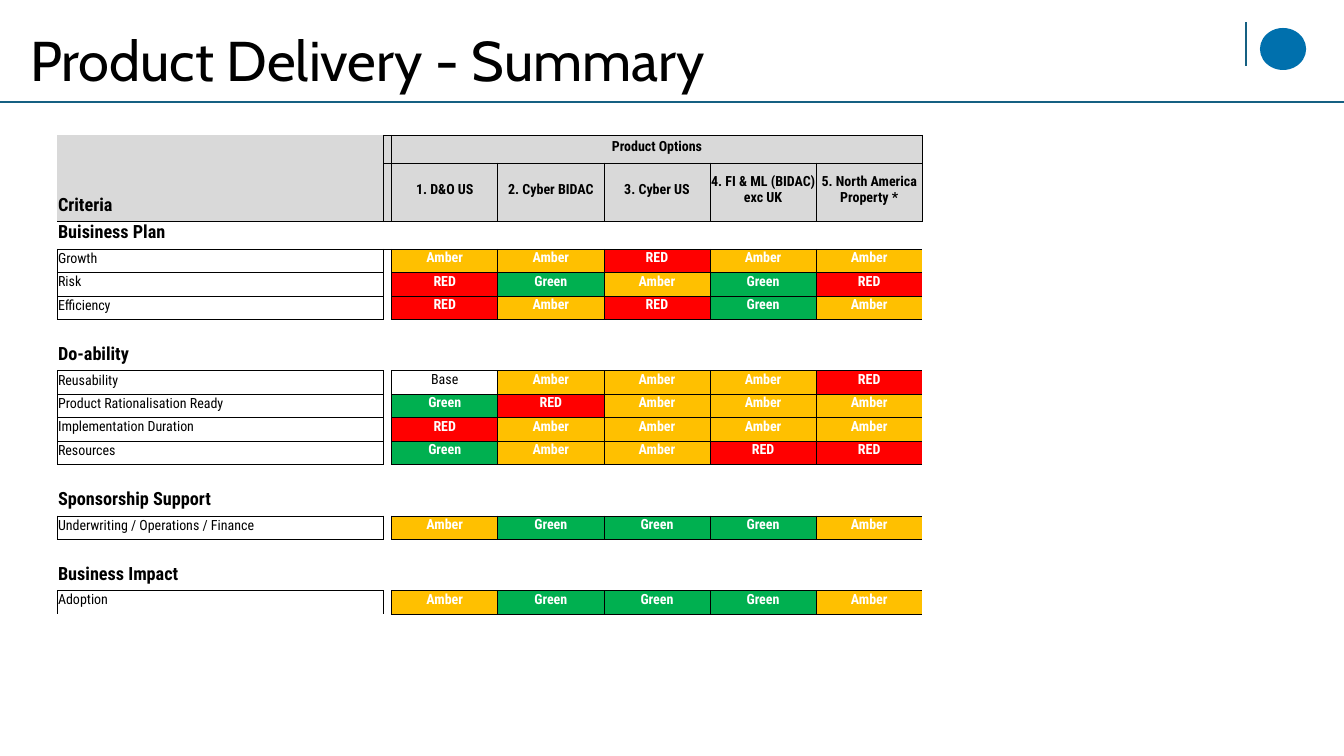
from lxml.etree import SubElement
from pptx import Presentation
from pptx.dml.color import RGBColor
from pptx.enum.shapes import MSO_CONNECTOR, MSO_SHAPE
from pptx.enum.text import MSO_ANCHOR, PP_ALIGN
from pptx.oxml.ns import qn
from pptx.util import Pt

COLORS = {"black": "000000", "white": "FFFFFF", "rule": "156082", "emblem": "0070AD",
          "header": "D9D9D9", "Amber": "FFC000", "RED": "FF0000", "Green": "00B050"}
BODY_FONT = "Roboto Condensed"
NO_STYLE = "{2D5ABB26-0587-4C30-8999-92F81FD0307C}"
OPTIONS = ["1. D&O US", "2. Cyber BIDAC", "3. Cyber US",
           "4. FI & ML (BIDAC) exc UK", "5. North America Property *"]
SECTIONS = {
    "Buisiness Plan": {
        "Growth": "Amber Amber RED Amber Amber",
        "Risk": "RED Green Amber Green RED",
        "Efficiency": "RED Amber RED Green Amber"},
    "Do-ability": {
        "Reusability": "Base Amber Amber Amber RED",
        "Product Rationalisation Ready": "Green RED Amber Amber Amber",
        "Implementation Duration": "RED Amber Amber Amber Amber",
        "Resources": "Green Amber Amber RED RED"},
    "Sponsorship Support": {
        "Underwriting / Operations / Finance": "Amber Green Green Green Amber"},
    "Business Impact": {
        "Adoption": "Amber Green Green Green Amber"},
}
COLUMN_WIDTHS = [233, 5.8] + [75.8] * len(OPTIONS)
TITLE_ROW, OPTION_ROW, ITEM_ROW = 20, 41.5, 16.75


def rgb(name):
    return RGBColor.from_string(COLORS[name])


def write(tf, text, size=10, font=BODY_FONT, color="black", bold=False,
          align=PP_ALIGN.LEFT, spacing=None):
    """Fill the first paragraph; an empty one still gets its size."""
    p = tf.paragraphs[0]
    p.alignment = align
    if spacing:
        p.line_spacing = spacing
    if not text:
        SubElement(p._p, qn("a:endParaRPr"), sz=str(size * 100))
        return
    r = p.add_run()
    r.text = text
    r.font.size, r.font.name, r.font.bold = Pt(size), font, bold
    r.font.color.rgb = rgb(color)


def add_line(s, x1, y1, x2, y2, width):
    line = s.shapes.add_connector(MSO_CONNECTOR.STRAIGHT, Pt(x1), Pt(y1), Pt(x2), Pt(y2))
    line.line.color.rgb = rgb("rule")
    line.line.width = Pt(width)
    SubElement(line._element.spPr, qn("a:effectLst"))


def add_title(s, text):
    tf = s.shapes.add_textbox(Pt(14.4), Pt(23.8), Pt(720), Pt(46.8)).text_frame
    tf.word_wrap = True
    tf.vertical_anchor = MSO_ANCHOR.BOTTOM
    write(tf, text, size=40, font="Cabin", spacing=0.9)


def add_emblem(s):
    sp = s.shapes.add_shape(MSO_SHAPE.OVAL, Pt(900), Pt(20), Pt(33), Pt(30))
    sp.shadow.inherit = False
    sp.fill.solid()
    sp.fill.fore_color.rgb = rgb("emblem")
    sp.line.fill.background()


def style_cell(cell, text="", fill=None, borders="", anchor=MSO_ANCHOR.TOP, **text_format):
    """Borders are named by their sides: any of L, R, T and B."""
    cell.margin_left = cell.margin_right = cell.margin_top = Pt(0.5)
    cell.margin_bottom = Pt(3.6)
    cell.vertical_anchor = anchor
    for side in "LRTB":
        if side in borders:
            ln = SubElement(cell._tc.get_or_add_tcPr(), qn(f"a:ln{side}"), w=str(Pt(0.5)))
            paint = SubElement(ln, qn("a:solidFill"))
            SubElement(paint, qn("a:srgbClr"), val=COLORS["black"])
    if fill:
        cell.fill.solid()
        cell.fill.fore_color.rgb = rgb(fill)
    else:
        cell.fill.background()
    write(cell.text_frame, text, **text_format)


def fill_header(table):
    for i, texts in enumerate([["Product Options"] + [""] * 4, OPTIONS]):
        criteria, gap, *options = table.rows[i].cells
        style_cell(criteria, "Criteria" if i else "", "header", "RB" if i else "R",
                   MSO_ANCHOR.BOTTOM, size=13, bold=True)
        style_cell(gap, "", "header", "LRTB")
        for cell, text in zip(options, texts):
            style_cell(cell, text, "header", "LRTB", MSO_ANCHOR.MIDDLE,
                       bold=True, align=PP_ALIGN.CENTER)
    table.cell(0, 2).merge(table.cell(0, len(COLUMN_WIDTHS) - 1))


def fill_section_row(row, name, under_header):
    top = "T" if under_header else ""
    for j, cell in enumerate(row.cells):
        style_cell(cell, "" if j else name, "white", top + ("" if j == 1 else "B"),
                   size=10 if j else 13, bold=True)


def fill_item_row(row, name, scores, last, open_bottom):
    label, gap, *options = row.cells
    style_cell(label, name, None, "LRT" if last else "LRTB", MSO_ANCHOR.MIDDLE)
    style_cell(gap, borders="LR")
    for cell, score in zip(options, scores):
        rated = score in COLORS
        sides = "LT" + ("" if cell is options[-1] else "R") + ("" if open_bottom else "B")
        style_cell(cell, score, score if rated else None, sides,
                   color="white" if rated else "black", bold=rated, align=PP_ALIGN.CENTER)


def add_score_table(s):
    heights = [TITLE_ROW, OPTION_ROW]
    for items in SECTIONS.values():
        heights += [TITLE_ROW] + [ITEM_ROW] * (len(items) + 1)
    heights.pop()  # no spacer after the last section
    frame = s.shapes.add_table(len(heights), len(COLUMN_WIDTHS), Pt(41), Pt(96.5),
                               Pt(sum(COLUMN_WIDTHS)), Pt(sum(heights)))
    table = frame.table
    table.first_row = table.horz_banding = False
    table._tbl.tblPr.find(qn("a:tableStyleId")).text = NO_STYLE
    for column, width in zip(table.columns, COLUMN_WIDTHS):
        column.width = Pt(width)
    for row, height in zip(table.rows, heights):
        row.height = Pt(height)

    fill_header(table)
    rows = iter(list(table.rows)[2:])
    for n, (section, items) in enumerate(SECTIONS.items()):
        if n:
            for cell in next(rows).cells:
                style_cell(cell, fill="white")
        fill_section_row(next(rows), section, under_header=n == 0)
        for k, (name, scores) in enumerate(items.items(), 1):
            last = k == len(items)
            fill_item_row(next(rows), name, scores.split(), last,
                          open_bottom=last and n == 0)


def main():
    prs = Presentation()
    prs.slide_width, prs.slide_height = Pt(960), Pt(540)
    s = prs.slides.add_slide(prs.slide_layouts[6])
    add_title(s, "Product Delivery - Summary")
    add_line(s, 0, 72.7, 960, 72.7, 1.5)
    add_emblem(s)
    add_line(s, 890, 16, 890, 46.8, 1)
    add_score_table(s)
    prs.save("out.pptx")


if __name__ == "__main__":
    main()
